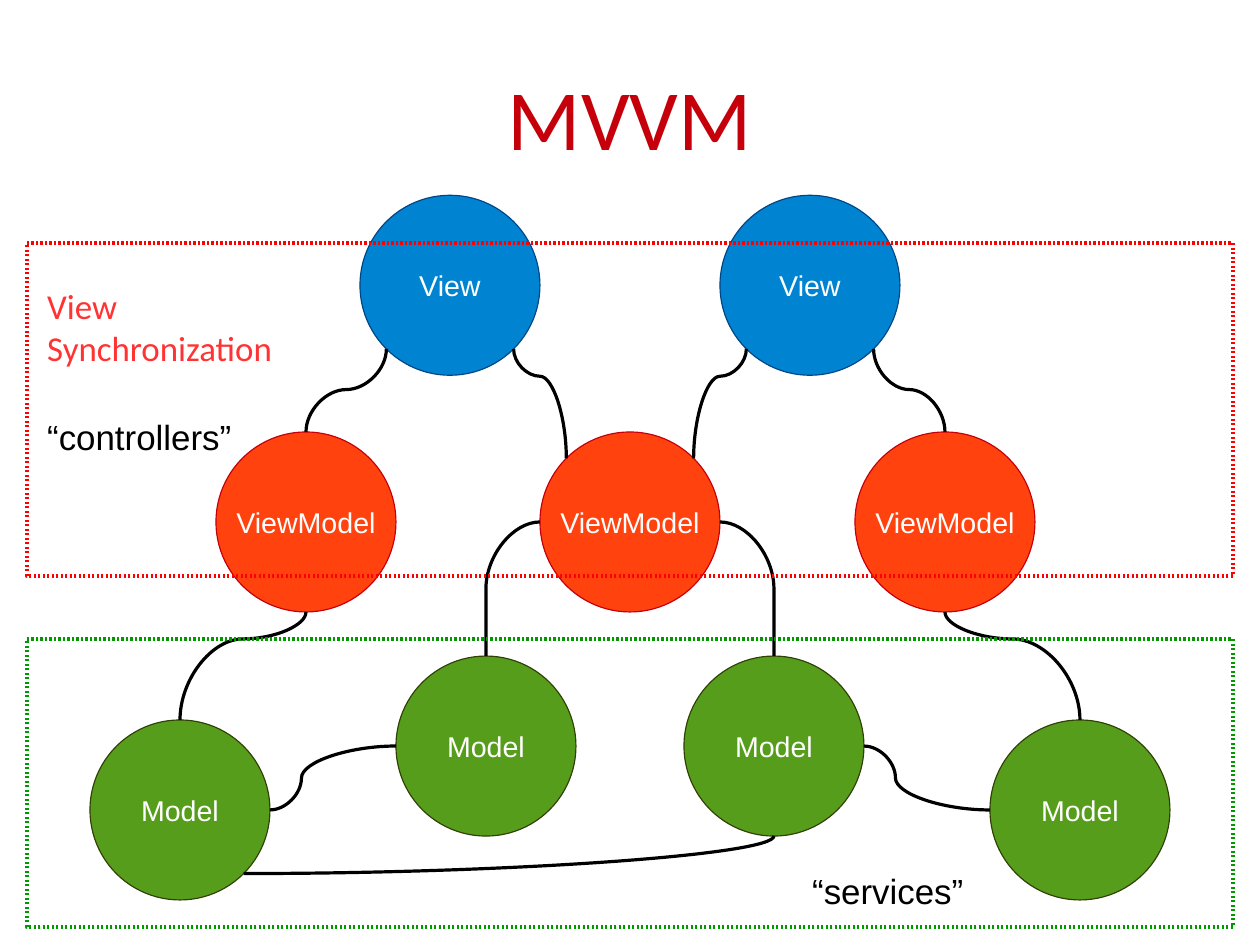
from math import cos, radians, sin

from lxml.etree import SubElement
from pptx import Presentation
from pptx.dml.color import RGBColor
from pptx.enum.shapes import MSO_CONNECTOR, MSO_SHAPE
from pptx.enum.text import MSO_ANCHOR, PP_ALIGN
from pptx.oxml.ns import qn
from pptx.util import Cm, Pt

COLORS = {
    "title": "C5000B", "heading": "FF3333", "black": "000000", "white": "FFFFFF",
    "sync_border": "FF0000", "service_border": "009900",
}
# Fill and outline of each kind of circle
KINDS = {
    "View": ("0084D1", "004586"),
    "ViewModel": ("FF420E", "C5000B"),
    "Model": ("579D1C", "314004"),
}
DIAMETER = 4
# Clockwise angles of the points where lines meet a circle
SITES = {"right": 0, "lower right": 45, "bottom": 90, "lower left": 135,
         "left": 180, "upper left": 225, "top": 270, "upper right": 315}

CIRCLES = {  # name: (kind, left, top)
    "left view model": ("ViewModel", 4.8, 9.6),
    "middle view model": ("ViewModel", 12, 9.6),
    "right view model": ("ViewModel", 19, 9.6),
    "outer left model": ("Model", 2, 16),
    "inner right model": ("Model", 15.2, 14.58),
    "outer right model": ("Model", 22, 16),
    "inner left model": ("Model", 8.8, 14.58),
    "left view": ("View", 8, 4.34),
    "right view": ("View", 16, 4.34),
}
LINKS = [  # start circle, site, end circle, site, bend
    ("left view", "lower left", "left view model", "top", 0.49),
    ("left view", "lower right", "middle view model", "upper left", 0.25),
    ("right view", "lower left", "middle view model", "upper right", 0.25),
    ("right view", "lower right", "right view model", "top", 0.49),
    ("left view model", "bottom", "outer left model", "top", 0.25),
    ("middle view model", "right", "inner right model", "top", 1),
    ("middle view model", "left", "inner left model", "top", 1),
    ("right view model", "bottom", "outer right model", "top", 0.25),
    ("outer left model", "right", "inner left model", "left", 0.25),
    ("inner right model", "right", "outer right model", "left", 0.25),
    ("outer left model", "lower right", "inner right model", "bottom", None),
]


def rgb(color):
    return RGBColor.from_string(color)


def write_text(frame, text, size=18, font="Arial", color="white",
               align=PP_ALIGN.LEFT, anchor=MSO_ANCHOR.TOP, wrap=True):
    frame.word_wrap = wrap
    frame.vertical_anchor = anchor
    paragraph = frame.paragraphs[0]
    paragraph.alignment = align
    run = paragraph.add_run()
    run.text = text
    run.font.size = Pt(size)
    run.font.name = font
    run.font.color.rgb = rgb(COLORS[color])


def site_position(circle, site):
    left, top = CIRCLES[circle][1:]
    angle, radius = radians(SITES[site]), DIAMETER / 2
    return left + radius * (1 + cos(angle)), top + radius * (1 + sin(angle))


class Diagram:
    def __init__(self, slide, hairline=0, border=2.83):
        self.slide = slide
        self.hairline = Pt(hairline)
        self.border = Pt(border)

    def circle(self, kind, left, top):
        shape = self.slide.shapes.add_shape(
            MSO_SHAPE.OVAL, Cm(left), Cm(top), Cm(DIAMETER), Cm(DIAMETER))
        shape.shadow.inherit = False
        fill, outline = KINDS[kind]
        shape.fill.solid()
        shape.fill.fore_color.rgb = rgb(fill)
        shape.line.color.rgb = rgb(outline)
        shape.line.width = self.hairline
        write_text(shape.text_frame, kind, align=PP_ALIGN.CENTER,
                   anchor=MSO_ANCHOR.MIDDLE, wrap=False)

    def curve(self, start, end, bend, vertical):
        """Draw a curve that leaves start downwards if vertical, else sideways.

        bend is the share of the way at which it turns; None gives one arc.
        """
        (x1, y1), (x2, y2) = start, end
        rightwards = x2 > x1
        if vertical:
            # Lay the curve on its side around its centre; a rotation stands it up
            middle_x, middle_y = (x1 + x2) / 2, (y1 + y2) / 2
            half_width, half_height = (y2 - y1) / 2, abs(x2 - x1) / 2
            x1, x2 = middle_x - half_width, middle_x + half_width
            y1, y2 = middle_y - half_height, middle_y + half_height
            if rightwards:
                x1, x2 = x2, x1
        connector = self.slide.shapes.add_connector(
            MSO_CONNECTOR.CURVE, Cm(x1), Cm(y1), Cm(x2), Cm(y2))
        connector.line.color.rgb = rgb(COLORS["black"])
        connector.line.width = self.hairline
        properties = connector.element.spPr
        SubElement(properties, qn("a:effectLst"))
        if vertical:
            degrees = 270 if rightwards else 90
            properties.find(qn("a:xfrm")).set("rot", str(degrees * 60000))
        geometry = properties.find(qn("a:prstGeom"))
        if bend is None:
            geometry.set("prst", "curvedConnector2")
        else:
            SubElement(geometry.find(qn("a:avLst")), qn("a:gd"),
                       name="adj1", fmla=f"val {round(bend * 100000)}")

    def dotted_frame(self, left, top, width, height, color):
        shape = self.slide.shapes.add_shape(
            MSO_SHAPE.RECTANGLE, Cm(left), Cm(top), Cm(width), Cm(height))
        shape.shadow.inherit = False
        shape.fill.background()
        shape.line.color.rgb = rgb(COLORS[color])
        shape.line.width = self.border
        outline = shape.element.spPr.find(qn("a:ln"))
        dashes = SubElement(outline, qn("a:custDash"))
        SubElement(dashes, qn("a:ds"), d="50000", sp="50000")

    def label(self, text, left, top, width, height, **text_format):
        box = self.slide.shapes.add_textbox(Cm(left), Cm(top), Cm(width), Cm(height))
        write_text(box.text_frame, text, **text_format)


def main():
    presentation = Presentation()
    presentation.slide_width, presentation.slide_height = Cm(28), Cm(21)
    slide = presentation.slides.add_slide(presentation.slide_layouts[6])
    diagram = Diagram(slide)

    for kind, left, top in CIRCLES.values():
        diagram.circle(kind, left, top)
    for start, start_site, end, end_site, bend in LINKS:
        diagram.curve(site_position(start, start_site), site_position(end, end_site),
                      bend, vertical=bend is not None and "right" != start_site != "left")

    diagram.label("MVVM", 1.4, 0.84, 25.2, 3.5, size=54, font="Calibri",
                  color="title", align=PP_ALIGN.CENTER, anchor=MSO_ANCHOR.MIDDLE)
    diagram.dotted_frame(0.6, 5.4, 26.8, 7.4, "sync_border")
    diagram.label("View Synchronization", 0.8, 6.2, 6, 3.43, size=22,
                  font="Calibri", color="heading")
    diagram.label("“controllers”", 0.8, 9.1, 5.8, 1.12, size=22, color="black")
    diagram.label("“services”", 17.8, 19.2, 4.4, 1.12, size=22, color="black")
    diagram.dotted_frame(0.6, 14.2, 26.8, 6.4, "service_border")

    presentation.save("out.pptx")


if __name__ == "__main__":
    main()
